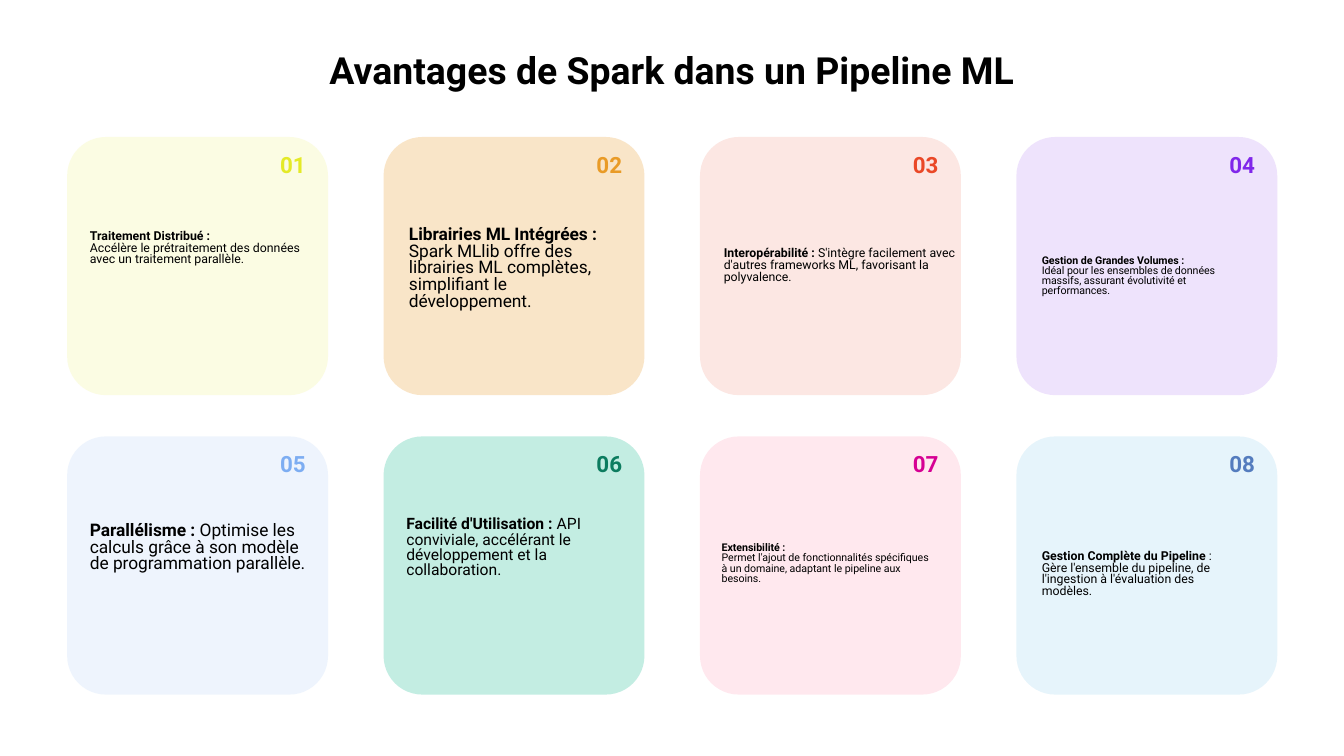
from lxml.etree import SubElement
from pptx import Presentation
from pptx.dml.color import RGBColor
from pptx.enum.shapes import MSO_SHAPE
from pptx.enum.text import MSO_ANCHOR, MSO_AUTO_SIZE, PP_ALIGN
from pptx.oxml.ns import qn
from pptx.util import Cm, Pt

FONT = "Roboto"
BLACK = RGBColor(0x00, 0x00, 0x00)
YELLOW = RGBColor(0xE4, 0xEA, 0x27)
ORANGE = RGBColor(0xE9, 0x9B, 0x27)
RED = RGBColor(0xEA, 0x48, 0x27)
PURPLE = RGBColor(0x80, 0x27, 0xEA)
BLUE = RGBColor(0x7D, 0xAD, 0xF2)
GREEN = RGBColor(0x12, 0xBA, 0x8F)
DARK_GREEN = RGBColor(0x0C, 0x7C, 0x5F)
PINK = RGBColor(0xFF, 0x47, 0x77)
MAGENTA = RGBColor(0xD6, 0x00, 0x93)
SKY = RGBColor(0x32, 0xA6, 0xE0)
STEEL = RGBColor(0x54, 0x7C, 0xBE)

TITLE = "Avantages de Spark dans un Pipeline ML"

# Fill, opacity in %, number colour, text size,
# text box (left and top within the card, width, height in cm),
# paragraphs of (text, bold) runs
CARDS = [
    (YELLOW, 13, YELLOW, 6.6, (0.18, 1.27, 4.75, 1.68),
     [[("Traitement Distribué :", True)],
      [("Accélère le prétraitement des données avec un traitement parallèle.", False)]]),
    (ORANGE, 25, ORANGE, 9.3, (0.23, 1.27, 4.7, 2.44),
     [[("Librairies ML Intégrées :", True)],
      [("Spark MLlib offre des librairies ML complètes, simplifiant le développement.", False)]]),
    (RED, 13, RED, 6.6, (0.2, 1.6, 4.93, 1.68),
     [[("Interopérabilité : ", True),
       ("S'intègre facilement avec d'autres frameworks ML, favorisant la polyvalence.", False)]]),
    (PURPLE, 13, PURPLE, 5.7, (0.23, 1.8, 4.55, 1.68),
     [[("Gestion de Grandes Volumes :", True)],
      [("Idéal pour les ensembles de données massifs, assurant évolutivité et performances.",
        False)]]),
    (BLUE, 13, BLUE, 9.3, (0.18, 1.27, 4.7, 1.68),
     [[("Parallélisme : ", True),
       ("Optimise les calculs grâce à son modèle de programmation parallèle.", False)]]),
    (GREEN, 25, DARK_GREEN, 8.4, (0.18, 1.27, 4.93, 1.68),
     [[("Facilité d'Utilisation : ", True),
       ("API conviviale, accélérant le développement et la collaboration.", False)]]),
    (PINK, 12, MAGENTA, 5.7, (0.16, 1.57, 4.55, 1.68),
     [[("Extensibilité :", True)],
      [("Permet l'ajout de fonctionnalités spécifiques à un domaine, "
        "adaptant le pipeline aux besoins.", False)]]),
    (SKY, 12, STEEL, 6.6, (0.23, 1.57, 4.11, 2.08),
     [[("Gestion Complète du Pipeline ", True), (":", False)],
      [("Gère l'ensemble du pipeline, de l'ingestion à l'évaluation des modèles.", False)]]),
]

COLUMNS = 4
GRID_LEFT, GRID_TOP = 1.27, 2.59
CARD_WIDTH, CARD_HEIGHT = 4.93, 4.88
COLUMN_STEP, ROW_STEP = 5.98, 5.66
NUMBER_LEFT, NUMBER_SIZE = 3.72, 1.04


def place(shape, left, top, width, height):
    shape.left, shape.top = Cm(left), Cm(top)
    shape.width, shape.height = Cm(width), Cm(height)


def write(shape, paragraphs, *, size, color=BLACK, align=PP_ALIGN.LEFT, spacing=1.0):
    """Fill a shape with paragraphs, each a list of (text, bold) runs."""
    frame = shape.text_frame
    frame.word_wrap = True
    frame.auto_size = MSO_AUTO_SIZE.NONE
    frame.vertical_anchor = MSO_ANCHOR.MIDDLE
    frame.margin_left = frame.margin_right = Cm(0.25)
    frame.margin_top = frame.margin_bottom = Cm(0.25)
    for index, runs in enumerate(paragraphs):
        paragraph = frame.add_paragraph() if index else frame.paragraphs[0]
        paragraph.alignment = align
        paragraph.line_spacing = spacing
        paragraph.space_before = paragraph.space_after = Pt(0)
        for text, bold in runs:
            run = paragraph.add_run()
            run.text = text
            run.font.name = FONT
            run.font.size = Pt(size)
            run.font.bold = bold
            run.font.color.rgb = color


def add_card(slide, left, top, fill, opacity):
    card = slide.shapes.add_shape(MSO_SHAPE.ROUNDED_RECTANGLE, Cm(left), Cm(top),
                                  Cm(CARD_WIDTH), Cm(CARD_HEIGHT))
    card.adjustments[0] = 0.15
    card.shadow.inherit = False
    card.line.fill.background()
    card.fill.solid()
    card.fill.fore_color.rgb = fill
    color = card.fill._xPr.find(qn("a:solidFill"))[0]
    SubElement(color, qn("a:alpha")).set("val", str(opacity * 1000))


def add_text(slide, box, paragraphs, **text_format):
    write(slide.shapes.add_textbox(*map(Cm, box)), paragraphs, **text_format)


def main():
    presentation = Presentation()
    presentation.slide_width, presentation.slide_height = Cm(25.4), Cm(14.29)
    slide = presentation.slides.add_slide(presentation.slide_layouts[5])

    place(slide.shapes.title, 1.27, 0.79, 22.86, 1.04)
    write(slide.shapes.title, [[(TITLE, True)]], size=20, align=PP_ALIGN.CENTER)

    for index, (fill, opacity, number_color, size, box, paragraphs) in enumerate(CARDS):
        row, column = divmod(index, COLUMNS)
        left = GRID_LEFT + column * COLUMN_STEP
        top = GRID_TOP + row * ROW_STEP
        add_card(slide, left, top, fill, opacity)
        text_left, text_top, width, height = box
        add_text(slide, (left + text_left, top + text_top, width, height), paragraphs,
                 size=size, spacing=0.8)
        add_text(slide, (left + NUMBER_LEFT, top, NUMBER_SIZE, NUMBER_SIZE),
                 [[(f"{index + 1:02}", True)]],
                 size=12, color=number_color, align=PP_ALIGN.RIGHT)

    presentation.save("out.pptx")


if __name__ == "__main__":
    main()
